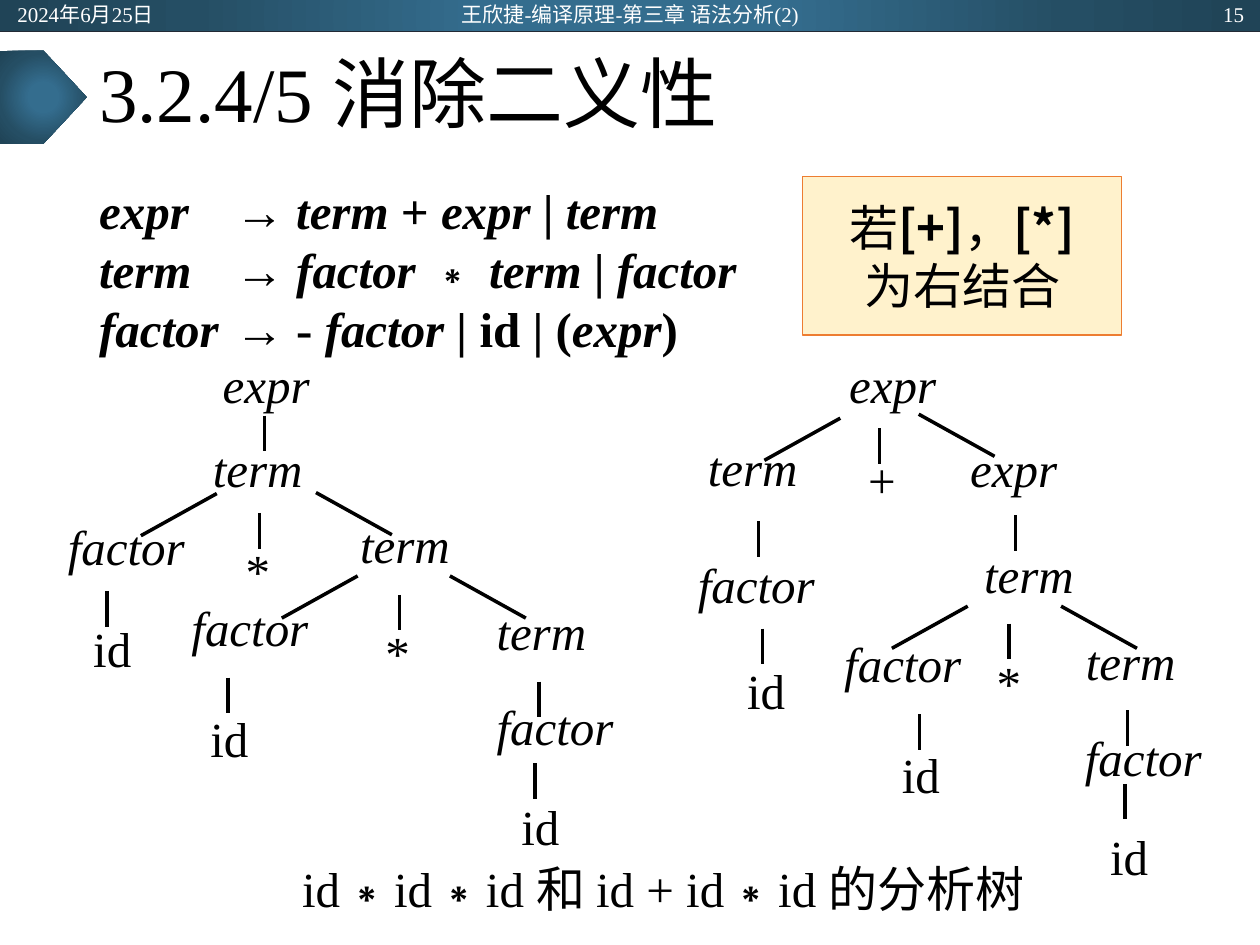
from lxml import etree
from pptx import Presentation
from pptx.dml.color import RGBColor
from pptx.enum.shapes import MSO_CONNECTOR, MSO_SHAPE
from pptx.enum.text import MSO_ANCHOR, PP_ALIGN
from pptx.oxml import parse_xml
from pptx.oxml.ns import nsdecls, qn
from pptx.util import Cm, Pt

LEFT, CENTER, RIGHT, JUSTIFY = PP_ALIGN.LEFT, PP_ALIGN.CENTER, PP_ALIGN.RIGHT, PP_ALIGN.JUSTIFY
TOP, MIDDLE = MSO_ANCHOR.TOP, MSO_ANCHOR.MIDDLE
RECT, PENTAGON = MSO_SHAPE.RECTANGLE, MSO_SHAPE.PENTAGON
STRAIGHT = MSO_CONNECTOR.STRAIGHT

SERIF, CJK, MONO = "Times New Roman", "Noto Sans CJK SC", "Courier New"
STOPS = [(0, "346D8E"), (23, "346D8E"), (69, "254E64"), (97, "204457")]
PAD = (0.25, 0.13)
WIDTHS = {"expr": 2.1, "term": 2.1, "factor": 2.8}
DROP, SPREAD, SLOPE = 0.72, 1.53, 0.85

LEFT_NODES = [
    ("expr", 3.12, 0), ("term", 2.92, 1.7), ("factor", 0, 3.28), ("id", 0.51, 5.33),
    ("*", 3.58, 3.76), ("term", 5.89, 3.23), ("factor", 2.49, 4.9), ("id", 2.87, 7.14),
    ("*", 6.4, 5.41), ("term", 8.64, 4.98), ("factor", 8.64, 6.91), ("id", 9.14, 8.92),
]
LEFT_EDGES = [
    (4.01, 1.27, 0), (3.05, 2.84, -1), (3.91, 3.23, 0), (5.05, 2.82, 1),
    (0.84, 4.8, 0), (5.89, 4.5, -1), (6.73, 4.88, 0), (7.75, 4.5, 1),
    (3.28, 6.55, 0), (9.55, 6.63, 0), (9.47, 8.28, 0),
]
RIGHT_NODES = [
    ("expr", 3.05, 0), ("term", 0.2, 1.68), ("+", 3.43, 1.93), ("expr", 5.49, 1.7),
    ("factor", 0, 4.04), ("id", 0.99, 6.17), ("term", 5.77, 3.84), ("factor", 2.95, 5.64),
    ("id", 4.11, 7.87), ("*", 6.02, 6.02), ("term", 7.82, 5.59), ("factor", 7.8, 7.52),
    ("id", 8.31, 9.53),
]
RIGHT_EDGES = [
    (2.92, 1.32, -1), (3.71, 1.52, 0), (4.5, 1.24, 1), (1.27, 3.4, 0),
    (1.35, 5.56, 0), (6.45, 3.28, 0), (5.49, 5.11, -1), (6.32, 5.46, 0),
    (7.37, 5.11, 1), (4.52, 7.29, 0), (8.71, 7.21, 0), (8.66, 8.69, 0),
]
GRAMMAR = [
    [("expr\t", True), ("→ ", False), ("term", True), (" + ", False), ("expr", True),
     (" | ", False), ("term", True)],
    [("term\t", True), ("→ ", False), ("factor ", True), ("∗ ", False), ("term", True),
     (" | ", False), ("factor", True)],
    [("factor\t", True), ("→ - ", False), ("factor | ", True), ("id | (", False),
     ("expr", True), (")", False)],
]


def color(value):
    return RGBColor.from_string(value)


def write(tf, text, size=28, font=SERIF, fill="000000", bold=False, italic=False,
          align=LEFT, anchor=TOP, pad=PAD, wrap=True, spacing=None, tab=None):
    tf.word_wrap = wrap
    tf.vertical_anchor = anchor
    tf.margin_left = tf.margin_right = Cm(pad[0])
    tf.margin_top = tf.margin_bottom = Cm(pad[1])
    lines = [[(text, {})]] if isinstance(text, str) else text
    for i, line in enumerate(lines):
        p = tf.paragraphs[0] if i == 0 else tf.add_paragraph()
        p.alignment = align
        if spacing:
            p.line_spacing = spacing
        if tab:
            tabs = etree.SubElement(p._p.get_or_add_pPr(), qn("a:tabLst"))
            etree.SubElement(tabs, qn("a:tab"), pos=str(Cm(tab)), algn="l")
        for words, extra in line:
            r = p.add_run()
            r.text = words
            f = r.font
            f.size = Pt(size)
            f.name = extra.get("font", font)
            f.bold = extra.get("bold", bold)
            f.italic = extra.get("italic", italic)
            f.color.rgb = color(fill)
            etree.SubElement(r._r.get_or_add_rPr(), qn("a:ea"), typeface=CJK)


def text_box(shapes, box, text, **fmt):
    sp = shapes.add_textbox(*map(Cm, box))
    write(sp.text_frame, text, **fmt)


def line(shapes, x1, y1, x2, y2, stroke="000000", width=2):
    c = shapes.add_connector(STRAIGHT, Cm(x1), Cm(y1), Cm(x2), Cm(y2))
    c.line.color.rgb = color(stroke)
    c.line.width = Pt(width)
    etree.SubElement(c._element.spPr, qn("a:effectLst"))


def glow_shape(shapes, kind, box):
    sp = shapes.add_shape(kind, *map(Cm, box))
    sp.shadow.inherit = False
    sp.line.fill.background()
    stops = "".join(f'<a:gs pos="{pos * 1000}"><a:srgbClr val="{c}"/></a:gs>' for pos, c in STOPS)
    grad = parse_xml(
        f'<a:gradFill {nsdecls("a")} rotWithShape="1"><a:gsLst>{stops}</a:gsLst>'
        '<a:path path="circle"><a:fillToRect l="50000" t="50000" r="50000" b="50000"/></a:path>'
        '</a:gradFill>')
    sp._element.spPr.find(qn("a:prstGeom")).addnext(grad)


def header(shapes, x, y, w, h):
    glow_shape(shapes, RECT, (x, y, w, h))
    line(shapes, x, y + h, x + w, y + h, "222A35", 0.5)
    parts = [("2024年6月25日", 0.1, 5.72, LEFT),
             ("王欣捷-编译原理-第三章 语法分析(2)", 8.41, 8.59, CENTER),
             ("15", 19.61, 5.72, RIGHT)]
    for text, dx, width, align in parts:
        text_box(shapes, (x + dx, y + 0.03, width, 0.5), text, size=12, fill="FFFFFF",
                 align=align, anchor=MIDDLE)


def title(shapes, x, y, w, h):
    glow_shape(shapes, PENTAGON, (x, y + 0.38, 1.75, 1.88))
    text_box(shapes, (x + 1.75, y, w - 1.75, h), "3.2.4/5 消除二义性", size=44,
             anchor=MIDDLE, spacing=0.9)


def grammar(shapes, x, y, w, h):
    rules = [[(words, {"italic": it}) for words, it in rule] for rule in GRAMMAR]
    text_box(shapes, (x, y, w, h), rules, bold=True, tab=2.74)


def callout(shapes, x, y, w, h):
    sp = shapes.add_shape(RECT, Cm(x), Cm(y), Cm(w), Cm(h))
    sp.shadow.inherit = False
    sp.fill.solid()
    sp.fill.fore_color.rgb = color("FFF2CC")
    sp.line.color.rgb = color("ED7D31")
    sp.line.width = Pt(1)
    strong = {"bold": True}
    text = [[("若", {}), ("[+]", strong), ("，", {}), ("[*]", strong)], [("为右结合", {})]]
    write(sp.text_frame, text, font=CJK, align=CENTER, anchor=MIDDLE, pad=(0.15, 0.08), wrap=False)


def tree(shapes, x, y, nodes, edges):
    group = shapes.add_group_shape().shapes
    for dx, dy, side in edges:
        x1, y1 = x + dx, y + dy
        line(group, x1, y1, x1 + side * SPREAD, y1 + (SLOPE if side else DROP))
    for word, dx, dy in nodes:
        rule = word in WIDTHS
        box = (x + dx, y + dy, WIDTHS.get(word, 1.04), 1.4 if rule else 1.27)
        text_box(group, box, word, italic=rule, align=JUSTIFY, pad=(0.05, 0.03))


def caption(shapes, x, y, w, h):
    star, cjk = ("∗", {"font": MONO}), {"font": CJK}
    text = [[("id ", {}), star, (" id ", {}), star, (" id ", {}), ("和 ", cjk),
             ("id + id ", {}), star, (" id ", {}), ("的分析树", cjk)]]
    text_box(shapes, (x, y, w, h), text, align=CENTER, anchor=MIDDLE, wrap=False)


def main():
    prs = Presentation()
    prs.slide_width, prs.slide_height = Cm(25.4), Cm(19.05)
    shapes = prs.slides.add_slide(prs.slide_layouts[6]).shapes
    header(shapes, 0, 0, 25.4, 0.64)
    title(shapes, 0, 0.64, 23.65, 2.64)
    grammar(shapes, 1.75, 3.51, 14, 3.8)
    tree(shapes, 1.32, 7.11, LEFT_NODES, LEFT_EDGES)
    tree(shapes, 14.02, 7.11, RIGHT_NODES, RIGHT_EDGES)
    caption(shapes, 4.9, 17.04, 16.94, 1.7)
    callout(shapes, 16.18, 3.56, 6.43, 3.2)
    prs.save("out.pptx")


if __name__ == "__main__":
    main()
